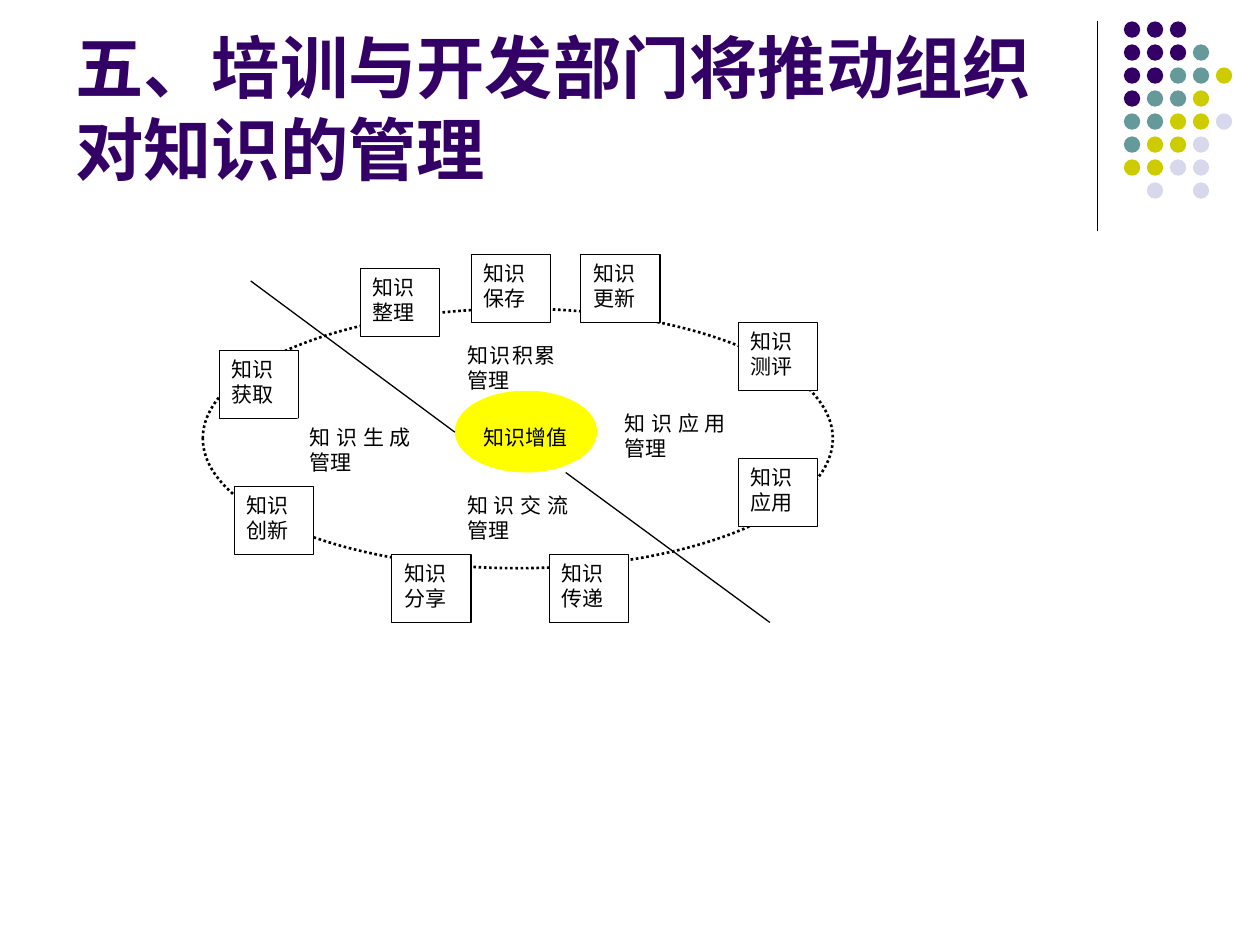
from lxml import etree
from pptx import Presentation
from pptx.dml.color import RGBColor
from pptx.enum.dml import MSO_LINE
from pptx.enum.lang import MSO_LANGUAGE_ID
from pptx.enum.shapes import MSO_CONNECTOR, MSO_SHAPE
from pptx.enum.text import MSO_ANCHOR, PP_ALIGN
from pptx.oxml.ns import qn
from pptx.util import Inches, Pt

OVAL, RECT = MSO_SHAPE.OVAL, MSO_SHAPE.RECTANGLE
STRAIGHT = MSO_CONNECTOR.STRAIGHT
DOTTED = MSO_LINE.ROUND_DOT
JUSTIFY = PP_ALIGN.JUSTIFY
TOP, BOTTOM = MSO_ANCHOR.TOP, MSO_ANCHOR.BOTTOM
CHINESE = MSO_LANGUAGE_ID.SIMPLIFIED_CHINESE

BLACK = RGBColor(0x00, 0x00, 0x00)
WHITE = RGBColor(0xFF, 0xFF, 0xFF)
YELLOW = RGBColor(0xFF, 0xFF, 0x00)
PURPLE = RGBColor(0x33, 0x00, 0x66)
TEAL = RGBColor(0x66, 0x99, 0x99)
OLIVE = RGBColor(0xCC, 0xCC, 0x00)
LAVENDER = RGBColor(0xD8, 0xD8, 0xEC)

TITLE_FONT = {"name": "Arial", "size": Pt(39), "bold": True, "language_id": CHINESE}
LABEL_FONT = {"name": "Times New Roman", "size": Pt(12), "language_id": CHINESE}

prs = Presentation()
prs.slide_width, prs.slide_height = Inches(10), Inches(7.5)
slide = prs.slides.add_slide(prs.slide_layouts[6])
shapes = slide.shapes


def add_figure(kind, left, top, width, height, fill, line_width=None):
    figure = shapes.add_shape(kind, Inches(left), Inches(top), Inches(width), Inches(height))
    figure.shadow.inherit = False
    figure.fill.solid()
    figure.fill.fore_color.rgb = fill
    if line_width:
        figure.line.color.rgb = BLACK
        figure.line.width = Pt(line_width)
    else:
        figure.line.fill.background()
    return figure


def write(figure, lines, font_format, color, align=None, anchor=TOP):
    """Fill the text frame with one paragraph per line."""
    frame = figure.text_frame
    frame.word_wrap = True
    frame.vertical_anchor = anchor
    for i, line in enumerate(lines):
        paragraph = frame.paragraphs[0] if i == 0 else frame.add_paragraph()
        paragraph.alignment = align
        run = paragraph.add_run()
        run.text = line
        run.font.color.rgb = color
        for attribute, value in font_format.items():
            setattr(run.font, attribute, value)


# Dot ornament in the top right corner
DOT_COLORS = {"P": PURPLE, "T": TEAL, "O": OLIVE, "L": LAVENDER}
DOT_ROWS = ["PPP", "PPPT", "PPTTO", "PTTO", "TTOOL", "TOOL", "OOLL", ".L.L"]
DOT_PITCH = 0.73 / 4
for row, codes in enumerate(DOT_ROWS):
    for column, code in enumerate(codes):
        if code in DOT_COLORS:
            add_figure(OVAL, 8.92 + column * DOT_PITCH, 0.17 + row * DOT_PITCH,
                       0.13, 0.13, DOT_COLORS[code])

title = shapes.add_textbox(Inches(0.5), Inches(0.13), Inches(8.25), Inches(1.42))
write(title, ["五、培训与开发部门将推动组织对知识的管理"], TITLE_FONT, PURPLE, PP_ALIGN.LEFT, BOTTOM)

# Knowledge cycle
cycle = add_figure(OVAL, 1.61, 2.45, 5, 2.06, WHITE, 1.5)
cycle.line.dash_style = DOTTED

STEPS = [
    ("获取", 1.74, 2.78), ("整理", 2.86, 2.13), ("更新", 4.61, 2.02),
    ("保存", 3.74, 2.02), ("应用", 5.86, 3.64), ("测评", 5.86, 2.56),
    ("创新", 1.86, 3.86), ("分享", 3.11, 4.4), ("传递", 4.36, 4.4),
]
for step, left, top in STEPS:
    box = add_figure(RECT, left, top, 0.63, 0.54, WHITE, 0.75)
    write(box, ["知识", step], LABEL_FONT, BLACK, JUSTIFY)

add_figure(OVAL, 3.61, 3.1, 1.13, 0.65, YELLOW)
core = add_figure(RECT, 3.74, 3.32, 0.87, 0.32, YELLOW)
write(core, ["知识增值"], LABEL_FONT, BLACK, JUSTIFY)

# Ornament rule and the two dividers of the cycle
LINES = [(8.71, 0.17, 8.71, 1.83), (1.99, 2.23, 3.61, 3.43), (4.49, 3.75, 6.11, 4.94)]
for ends in LINES:
    line = shapes.add_connector(STRAIGHT, *[Inches(end) for end in ends])
    line.line.color.rgb = BLACK
    line.line.width = Pt(0.75)
    etree.SubElement(line._element.spPr, qn("a:effectLst"))

# Management areas: the right inset sets where each label wraps
AREAS = [
    ("知识生成管理", 2.36, 3.32, 0.1), ("知识交流管理", 3.61, 3.86, 0.1),
    ("知识应用管理", 4.86, 3.21, 0.1), ("知识积累管理", 3.61, 2.67, 0.2),
]
for area, left, top, right_inset in AREAS:
    label = add_figure(RECT, left, top, 1, 0.43, WHITE)
    label.text_frame.margin_right = Inches(right_inset)
    write(label, [area], LABEL_FONT, BLACK, JUSTIFY)

prs.save("out.pptx")
